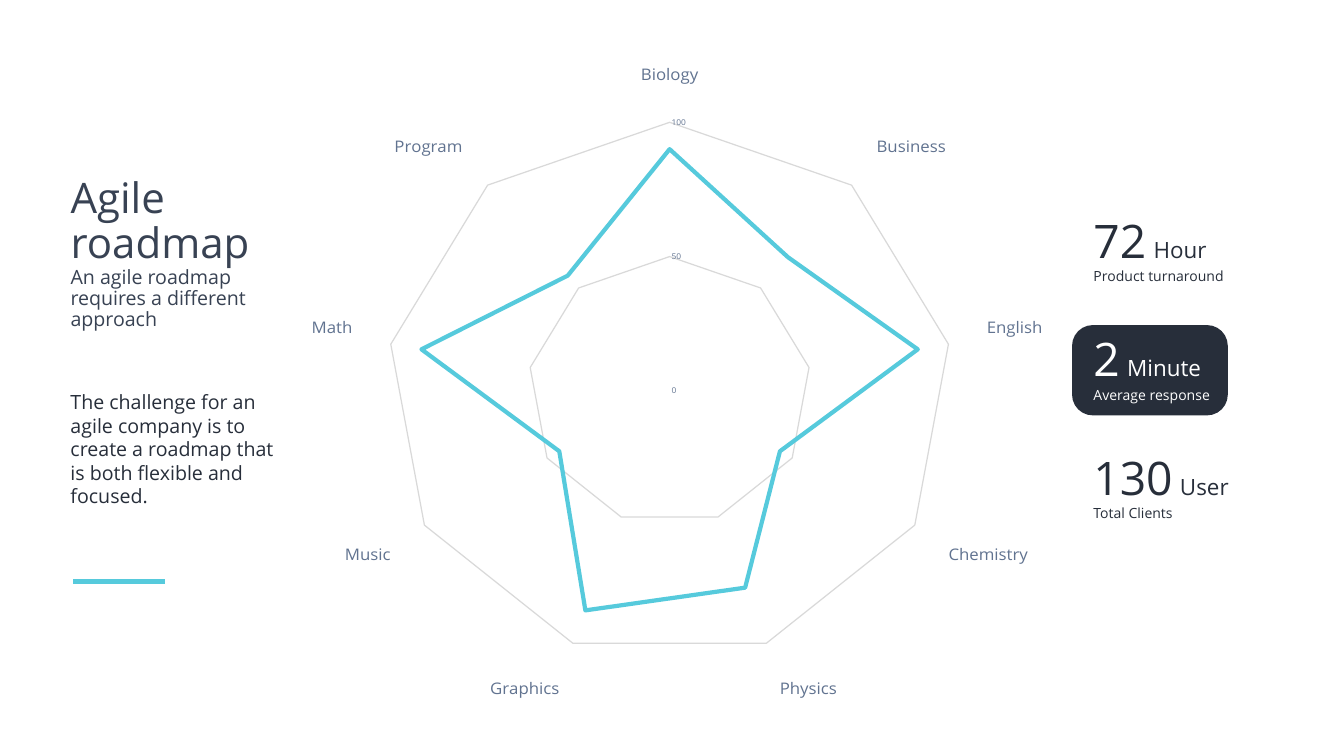
import pptx
import pptx.chart.data
import pptx.dml.color
import pptx.enum.chart
import pptx.enum.shapes
import pptx.enum.text
import pptx.oxml
import pptx.oxml.ns
import pptx.util

Pt = pptx.util.Pt
RGBColor = pptx.dml.color.RGBColor
AutoSize = pptx.enum.text.MSO_AUTO_SIZE

FONT = "Open Sans"
DARK = RGBColor(0x27, 0x2E, 0x3A)
SLATE = RGBColor(0x38, 0x42, 0x53)
LABEL = RGBColor(0x61, 0x73, 0x90)
AXIS = RGBColor(0xDA, 0xDE, 0xE6)
GRID = RGBColor(0xD9, 0xD9, 0xD9)
TEAL = RGBColor(0x56, 0xCA, 0xDC)
WHITE = RGBColor(0xFF, 0xFF, 0xFF)

HEADING = [("Agile roadmap", 60),
           ("An agile roadmap requires a different approach", 28)]
CHALLENGE = ("The challenge for an agile company is to create a roadmap "
             "that is both flexible and focused.")
SCORES = {"Biology": 90, "Business": 65, "English": 89, "Chemistry": 45,
          "Physics": 78, "Graphics": 87, "Music": 45, "Math": 89, "Program": 56}
# number, unit, caption, colour, box width
STATS = [("72", "Hour", "Product turnaround", DARK, 222.5),
         ("2", "Minute", "Average response", WHITE, 222.5),
         ("130", "User", "Total Clients", DARK, 271.5)]
STATS_LEFT, STATS_TOP, STATS_STEP = 1555, 299.5, 169.5
TEXT_LEFT = 93.6
PLOT = {"x": 0.203, "y": 0.027, "w": 0.632, "h": 0.902}  # shares of the chart frame


def style(font, size, color):
    font.name, font.size = FONT, Pt(size)
    font.color.rgb = color


def add_text_box(s, left, top, width, height):
    tf = s.shapes.add_textbox(Pt(left), Pt(top), Pt(width), Pt(height)).text_frame
    tf.word_wrap = True
    tf.auto_size = AutoSize.SHAPE_TO_FIT_TEXT
    return tf


def add_heading(s):
    title = s.shapes.title
    title.left, title.top = Pt(TEXT_LEFT), Pt(249)
    title.width, title.height = Pt(283.7), Pt(234)
    tf = title.text_frame
    tf.text = "\n".join(text for text, _ in HEADING)
    tf.word_wrap = True
    tf.auto_size = AutoSize.TEXT_TO_FIT_SHAPE
    tf.vertical_anchor = pptx.enum.text.MSO_ANCHOR.TOP
    for p, (_, size) in zip(tf.paragraphs, HEADING):
        p.alignment = pptx.enum.text.PP_ALIGN.LEFT
        p.line_spacing = 0.9
        style(p.runs[0].font, size, SLATE)


def add_radar(s):
    data = pptx.chart.data.CategoryChartData()
    data.categories = list(SCORES)
    data.add_series("Series 1", list(SCORES.values()))
    chart = s.shapes.add_chart(pptx.enum.chart.XL_CHART_TYPE.RADAR, Pt(292.3), Pt(91.4),
                               Pt(1280), Pt(925), data).chart
    chart.has_legend = chart.has_title = False
    style(chart.font, 10, DARK)

    plot = chart.plots[0]
    plot.vary_by_categories = False
    series = plot.series[0]
    series.smooth = False
    series.marker.style = pptx.enum.chart.XL_MARKER_STYLE.NONE
    series.format.line.color.rgb = TEAL
    series.format.line.width = Pt(6)

    for axis, size in ((chart.category_axis, 24), (chart.value_axis, 12)):
        axis.major_tick_mark = axis.minor_tick_mark = pptx.enum.chart.XL_TICK_MARK.NONE
        style(axis.tick_labels.font, size, LABEL)
    chart.category_axis.format.line.color.rgb = AXIS
    chart.category_axis.format.line.width = Pt(0.75)

    values = chart.value_axis
    values.minimum_scale, values.maximum_scale, values.major_unit = 0, 100, 50
    values.format.line.fill.background()
    values.has_major_gridlines = True
    values.major_gridlines.format.line.color.rgb = GRID
    values.major_gridlines.format.line.width = Pt(1.75)

    parts = "".join(f'<c:{side}Mode val="edge"/>' for side in "xy")
    parts += "".join(f'<c:{side} val="{share}"/>' for side, share in PLOT.items())
    layout = pptx.oxml.parse_xml(
        f'<c:layout {pptx.oxml.ns.nsdecls("c")}><c:manualLayout>'
        f'<c:layoutTarget val="inner"/>{parts}</c:manualLayout></c:layout>')
    area = chart._chartSpace.chart.plotArea
    for old in area.findall(pptx.oxml.ns.qn("c:layout")):
        area.remove(old)
    area.insert(0, layout)


def add_stats(s):
    for i, (number, unit, caption, color, width) in enumerate(STATS):
        tf = add_text_box(s, STATS_LEFT, STATS_TOP + i * STATS_STEP, width, 111.6)
        p = tf.paragraphs[0]
        for text, size in ((number, 66), (" ", 40), (unit, 32)):
            r = p.add_run()
            r.text = text
            style(r.font, size, color)
        p = tf.add_paragraph()
        p.text = caption
        style(p.runs[0].font, 20, color)


def main():
    prs = pptx.Presentation()
    prs.slide_width, prs.slide_height = Pt(1920), Pt(1080)
    s = prs.slides.add_slide(prs.slide_layouts[5])

    add_heading(s)

    card = s.shapes.add_shape(pptx.enum.shapes.MSO_SHAPE.ROUNDED_RECTANGLE,
                              Pt(1531.5), Pt(464.4), Pt(222.5), Pt(129))
    card.adjustments[0] = 0.23
    card.shadow.inherit = False
    card.fill.solid()
    card.fill.fore_color.rgb = DARK
    card.line.fill.background()

    add_radar(s)
    add_stats(s)

    tf = add_text_box(s, TEXT_LEFT, 553.7, 324.7, 143.3)
    tf.text = CHALLENGE
    style(tf.paragraphs[0].runs[0].font, 28, DARK)

    rule = s.shapes.add_connector(pptx.enum.shapes.MSO_CONNECTOR.STRAIGHT,
                                  Pt(105), Pt(831), Pt(235.5), Pt(831))
    rule.line.color.rgb = TEAL
    rule.line.width = Pt(7.5)
    rule._element.spPr.append(
        pptx.oxml.parse_xml(f'<a:effectLst {pptx.oxml.ns.nsdecls("a")}/>'))

    prs.save("out.pptx")


if __name__ == "__main__":
    main()
